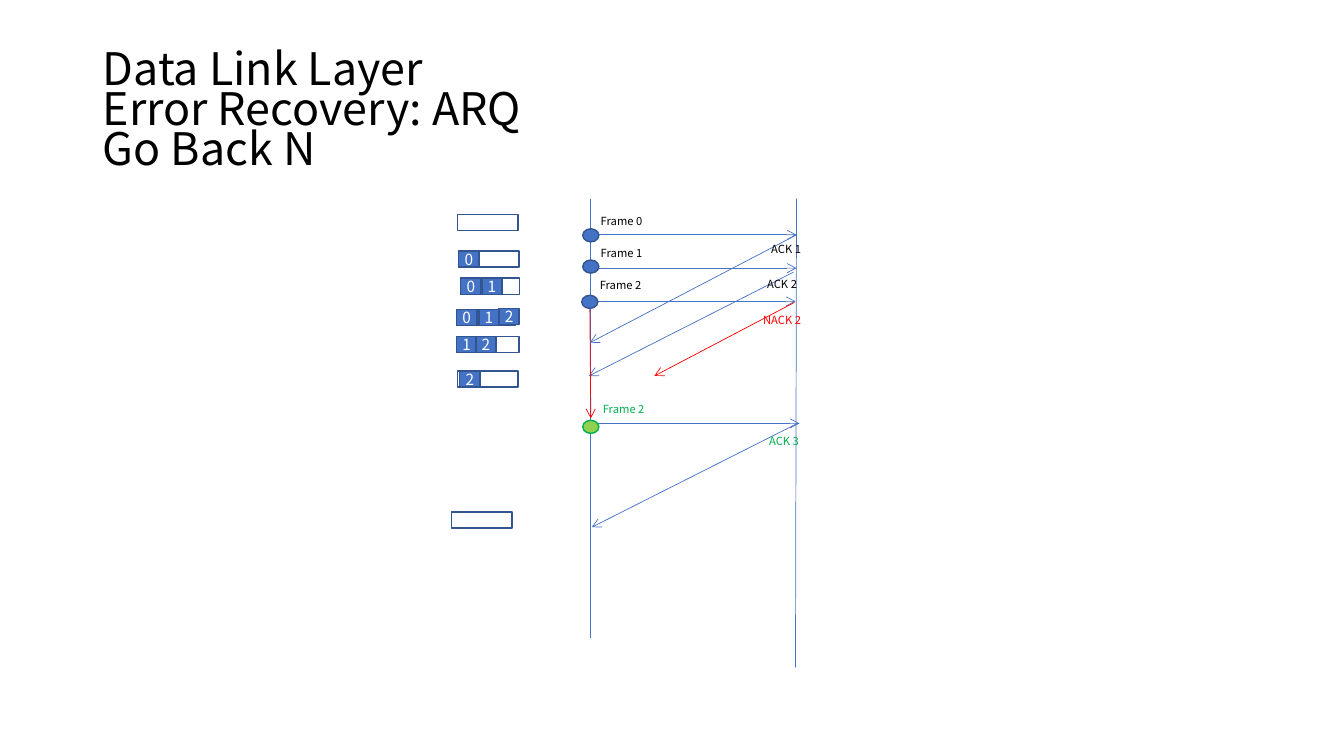
import pptx
import pptx.util
import pptx.dml.color
import pptx.enum.shapes
import pptx.enum.text
import pptx.oxml.ns
import lxml.etree

PX = 9144
FONT = "Noto Sans CJK KR"
BLUE, NAVY, RED, BLACK, WHITE = "4472C4", "325491", "FF0000", "000000", "FFFFFF"
GREEN, LIME = "00B050", "92D050"
ALIGN = pptx.enum.text.PP_ALIGN
ANCHOR = pptx.enum.text.MSO_ANCHOR
FIT = pptx.enum.text.MSO_AUTO_SIZE
KIND = pptx.enum.shapes.MSO_SHAPE


def rgb(value):
    return pptx.dml.color.RGBColor.from_string(value)


def write_text(box, text, size, color, frame_format, para_format):
    frame = box.text_frame
    for name, value in frame_format.items():
        setattr(frame, name, value)
    para = frame.paragraphs[0]
    para.text = text
    for name, value in para_format.items():
        setattr(para, name, value)
    for span in para.runs:
        for name, value in {"name": FONT, "size": pptx.util.Pt(size)}.items():
            setattr(span.font, name, value)
        span.font.color.rgb = rgb(color)


deck = pptx.Presentation()
deck.slide_width = 1333 * PX
deck.slide_height = 750 * PX
page = deck.slides.add_slide(deck.slide_layouts[6])

title = page.shapes.add_textbox(92 * PX, 40 * PX, 1150 * PX, 145 * PX)
write_text(title, "Data Link Layer\vError Recovery: ARQ\vGo Back N", 32, BLACK,
           {"word_wrap": True, "vertical_anchor": ANCHOR.MIDDLE},
           {"line_spacing": 0.75})

lines = [
    (586, 197, 586, 633, BLUE, False),
    (790, 197, 789, 662, BLUE, False),
    (586, 233, 790, 233, BLUE, True),
    (790, 233, 585, 340, BLUE, True),
    (586, 266, 790, 266, BLUE, True),
    (585, 299, 789, 299, BLUE, True),
    (788, 300, 649, 373, RED, True),
    (787, 270, 584, 373, BLUE, True),
    (585, 307, 586, 415, RED, True),
    (588, 420, 793, 420, BLUE, True),
    (791, 420, 587, 523, BLUE, True),
]
for x1, y1, x2, y2, color, has_arrow in lines:
    line = page.shapes.add_connector(
        pptx.enum.shapes.MSO_CONNECTOR.STRAIGHT, x1 * PX, y1 * PX, x2 * PX, y2 * PX)
    line.line.color.rgb = rgb(color)
    line.line.width = pptx.util.Pt(0.5)
    if has_arrow:
        lxml.etree.SubElement(line.line._get_or_add_ln(),
                              pptx.oxml.ns.qn("a:tailEnd"), type="arrow")
    lxml.etree.SubElement(line._element.spPr, pptx.oxml.ns.qn("a:effectLst"))

labels = [
    ("Frame 0", 586, 208, 62, BLACK),
    ("ACK 1", 755, 236, 52, BLACK),
    ("Frame 1", 586, 239, 62, BLACK),
    ("Frame 2", 585, 271, 62, BLACK),
    ("ACK 2", 751, 270, 52, BLACK),
    ("NACK 2", 747, 306, 60, RED),
    ("Frame 2", 588, 394, 62, GREEN),
    ("ACK 3", 753, 426, 56, GREEN),
]
for text, left, top, width, color in labels:
    label = page.shapes.add_textbox(left * PX, top * PX, width * PX, 24 * PX)
    write_text(label, text, 8, color,
               {"word_wrap": False, "auto_size": FIT.SHAPE_TO_FIT_TEXT}, {})

dots = [(578, 227, BLUE, NAVY), (578, 258, BLUE, NAVY),
        (577, 293, BLUE, NAVY), (578, 417, LIME, GREEN)]
shapes = [(KIND.OVAL, left, top, 16, 13, fill, outline, "")
          for left, top, fill, outline in dots]

windows = [
    (454, 213, 60, []),
    (455, 249, 60, [("0", 455, 249)]),
    (457, 276, 58, [("0", 457, 276), ("1", 478, 276)]),
    (453, 307, 58, [("0", 453, 307), ("1", 475, 307), ("2", 495, 306)]),
    (455, 334, 60, [("1", 453, 334), ("2", 472, 334)]),
    (454, 368, 60, [("2", 456, 368)]),
    (448, 508, 60, []),
]
for left, top, width, slots in windows:
    shapes.append((KIND.RECTANGLE, left, top, width, 16, None, NAVY, ""))
    for number, slot_left, slot_top in slots:
        shapes.append((KIND.RECTANGLE, slot_left, slot_top, 20, 16, BLUE, NAVY, number))

for kind, left, top, width, height, fill, outline, text in shapes:
    shape = page.shapes.add_shape(kind, left * PX, top * PX, width * PX, height * PX)
    shape.shadow.inherit = False
    if fill:
        shape.fill.solid()
        shape.fill.fore_color.rgb = rgb(fill)
    else:
        shape.fill.background()
    shape.line.color.rgb = rgb(outline)
    shape.line.width = pptx.util.Pt(1)
    if text:
        write_text(shape, text, 11, WHITE,
                   {"margin_left": 0, "margin_right": 0, "margin_top": 0,
                    "margin_bottom": 0, "vertical_anchor": ANCHOR.MIDDLE},
                   {"alignment": ALIGN.CENTER})

deck.save("out.pptx")
